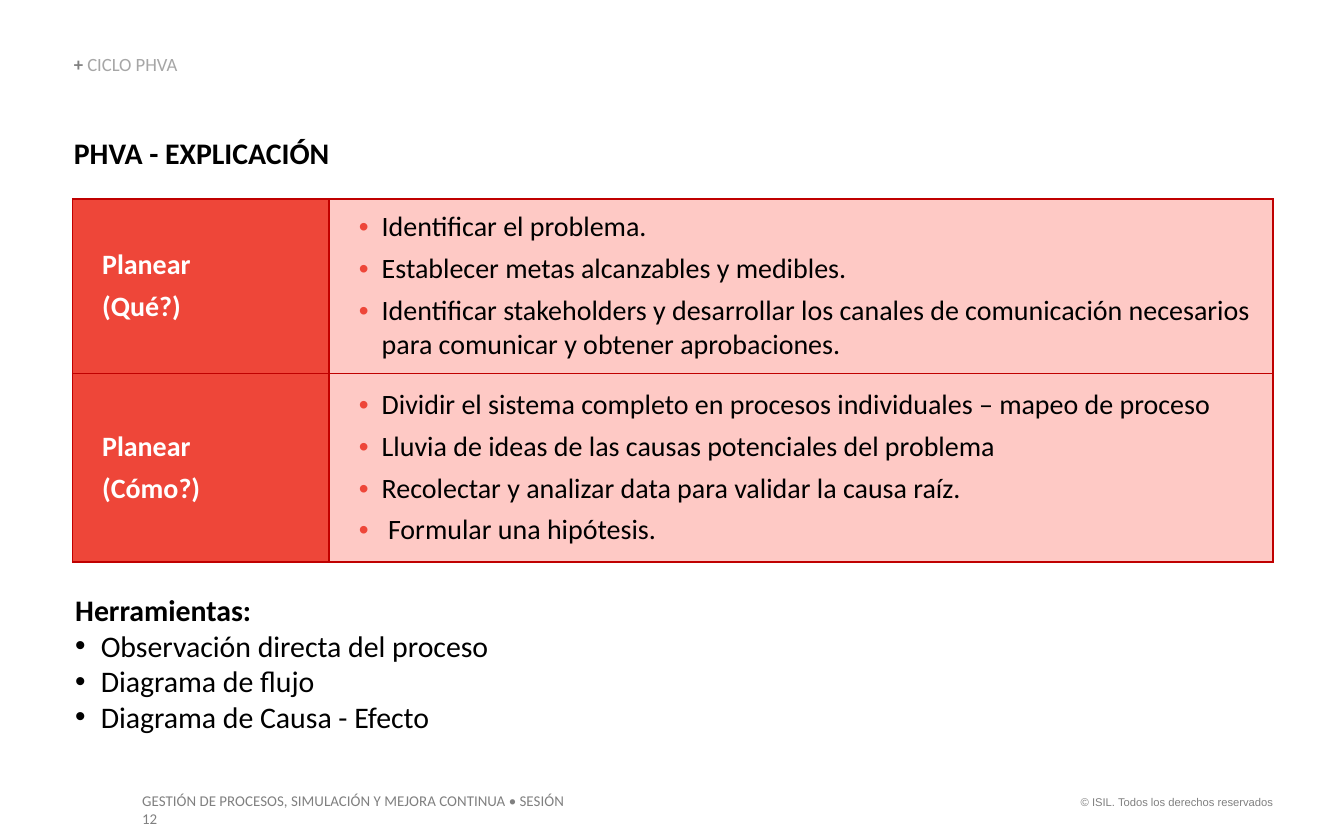
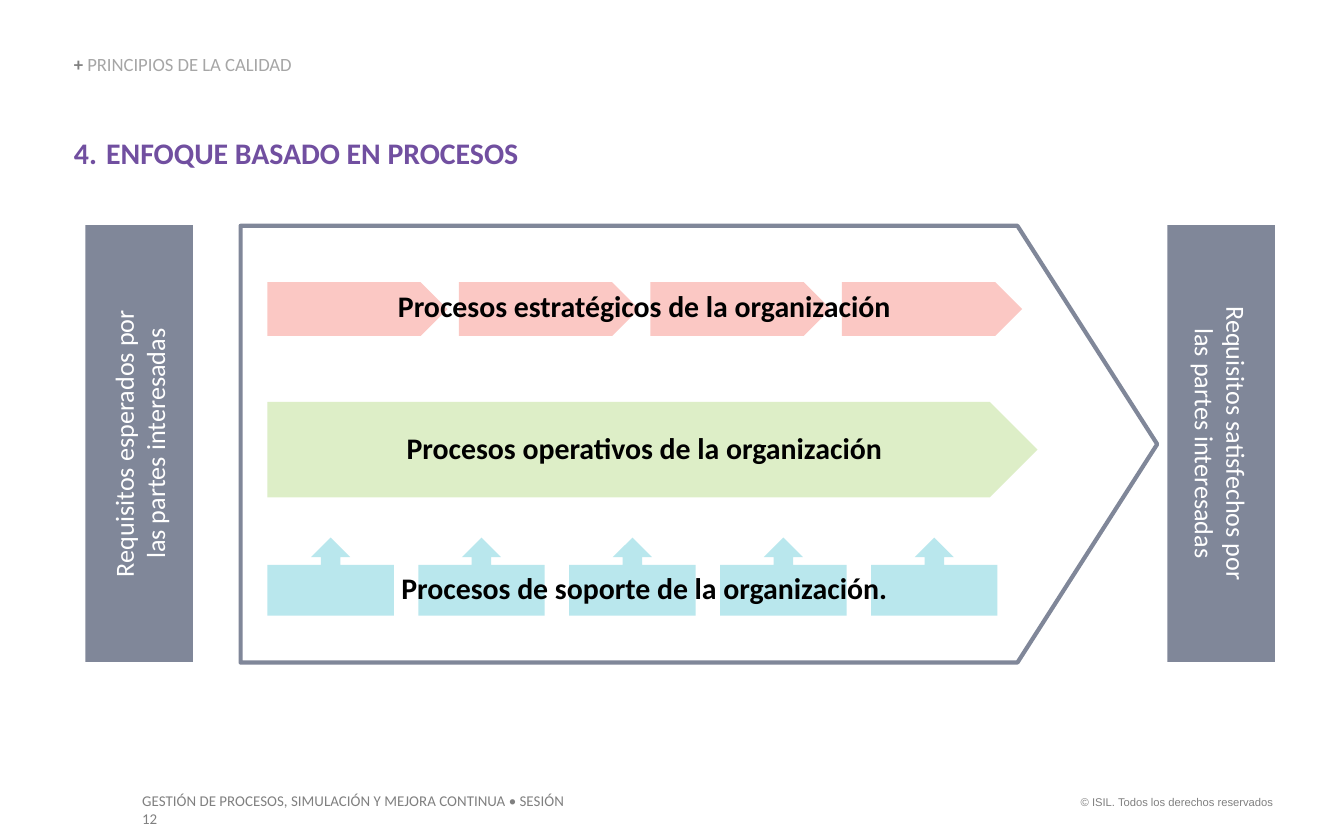
"""Builds two slides on quality management: the PHVA planning table and the process approach map."""

from dataclasses import dataclass

from pptx import Presentation
from pptx.dml.color import RGBColor
from pptx.enum.shapes import MSO_SHAPE
from pptx.enum.text import MSO_ANCHOR, PP_ALIGN
from pptx.oxml import parse_xml
from pptx.oxml.ns import nsdecls
from pptx.util import Inches, Pt

LEFT, CENTER, RIGHT = PP_ALIGN.LEFT, PP_ALIGN.CENTER, PP_ALIGN.RIGHT
TOP, MIDDLE, BOTTOM = MSO_ANCHOR.TOP, MSO_ANCHOR.MIDDLE, MSO_ANCHOR.BOTTOM
PENTAGON, CALLOUT = MSO_SHAPE.PENTAGON, MSO_SHAPE.UP_ARROW_CALLOUT
RECTANGLE = MSO_SHAPE.RECTANGLE


@dataclass(frozen=True)
class Theme:
    font: str = "Calibri"
    copyright_font: str = "Arial"
    black: str = "000000"
    white: str = "FFFFFF"
    gray: str = "808080"
    light_gray: str = "A6A6A6"
    purple: str = "714FA0"
    red: str = "EE4639"
    pink: str = "FEC9C5"
    border: str = "C00000"
    slate: str = "808799"
    strategic: str = "FBC8C4"
    operative: str = "DDEEC7"
    support: str = "B9E7ED"
    heading_size: float = 16
    table_size: float = 15
    side_size: float = 14
    topic_size: float = 10
    footer_size: float = 8
    copyright_size: float = 6


theme = Theme()

presentation = Presentation()
presentation.slide_width = Inches(10)
presentation.slide_height = Inches(6.25)
COLUMN = presentation.slide_width / 100
ROW = presentation.slide_height / 125


def grid(left, top, width, height):
    """Turn grid columns and rows into slide lengths."""
    return [int(left * COLUMN), int(top * ROW), int(width * COLUMN), int(height * ROW)]


def write(frame, paragraphs, style, align=LEFT, anchor=TOP, inset=True,
          margin=0, hanging=0, bullet=(), space=0, line_spacing=None):
    """Fill a frame; a paragraph is a list of runs, each a text and its own style or None."""
    frame.word_wrap = True
    frame.vertical_anchor = anchor
    if not inset:
        frame.margin_left = frame.margin_right = frame.margin_top = frame.margin_bottom = 0
    for index, runs in enumerate(paragraphs):
        paragraph = frame.add_paragraph() if frame.paragraphs[0].runs else frame.paragraphs[0]
        properties = paragraph._p.get_or_add_pPr()
        if margin:
            properties.set("marL", str(int(margin * COLUMN)))
            properties.set("indent", str(int(-hanging * COLUMN)))
        for element in bullet:
            properties.append(parse_xml(element))
        paragraph.alignment = align
        if index and space:
            paragraph.space_before = Pt(space)
        if line_spacing:
            paragraph.line_spacing = line_spacing
        for text, own_style in runs:
            if text == "\n":
                paragraph.add_line_break()
                continue
            run = paragraph.add_run()
            run.text = text
            font_name, size, color, bold = own_style or style
            run.font.name = font_name
            run.font.size = Pt(size)
            run.font.bold = bold
            run.font.color.rgb = RGBColor.from_string(color)


NAMESPACE = nsdecls("a")
DOT = [f'<a:buFont {NAMESPACE} typeface="Arial"/>', f'<a:buChar {NAMESPACE} char="•"/>']
RED_DOT = [f'<a:buClr {NAMESPACE}><a:srgbClr val="{theme.red}"/></a:buClr>', *DOT]
NUMBER_FOUR = [f'<a:buFont {NAMESPACE} typeface="+mj-lt"/>',
               f'<a:buAutoNum {NAMESPACE} type="arabicPeriod" startAt="4"/>']

copyright_style = (theme.copyright_font, theme.copyright_size, theme.gray, False)
footer_style = (theme.font, theme.footer_size, theme.gray, False)
plus_style = (theme.font, theme.topic_size, theme.gray, True)
topic_style = (theme.font, theme.topic_size, theme.light_gray, False)
strong_style = (theme.font, theme.heading_size, theme.black, True)
body_style = (theme.font, theme.heading_size, theme.black, False)
purple_style = (theme.font, theme.heading_size, theme.purple, True)
step_style = (theme.font, theme.table_size, theme.white, True)
task_style = (theme.font, theme.table_size, theme.black, False)
side_style = (theme.font, theme.side_size, theme.white, False)

pages = [
    ("CICLO PHVA", "PHVA - EXPLICACIÓN", 78.8, strong_style, {}),
    ("PRINCIPIOS DE LA CALIDAD", "ENFOQUE BASADO EN PROCESOS", 90.1, purple_style,
     {"margin": 2.4, "hanging": 2.4, "bullet": NUMBER_FOUR}),
]
slides = []
for topic, heading, heading_width, heading_style, heading_list in pages:
    slide = presentation.slides.add_slide(presentation.slide_layouts[6])
    slides.append(slide)
    box = slide.shapes.add_textbox(*grid(78.8, 117.4, 16.9, 4))
    write(box.text_frame, [[("© ISIL. Todos los derechos reservados", None)]],
          copyright_style, align=RIGHT)
    box = slide.shapes.add_textbox(*grid(9.6, 116.8, 34, 4.8))
    write(box.text_frame,
          [[("GESTIÓN DE PROCESOS, SIMULACIÓN Y MEJORA CONTINUA • SESIÓN 12", None)]],
          footer_style)
    box = slide.shapes.add_textbox(*grid(5.5, 8.2, 26.6, 3))
    write(box.text_frame, [[("+ ", plus_style), (topic, None)]], topic_style,
          anchor=BOTTOM, inset=False, line_spacing=0.9)
    box = slide.shapes.add_textbox(*grid(5.5, 20, heading_width, 5.4))
    write(box.text_frame, [[(heading, None)]], heading_style, inset=False, **heading_list)

cycle_slide, process_slide = slides

steps = [
    (26, ["Planear", "(Qué?)"], [
        "Identificar el problema.",
        "Establecer metas alcanzables y medibles.",
        "Identificar stakeholders y desarrollar los canales de comunicación necesarios "
        "para comunicar y obtener aprobaciones.",
    ]),
    (28, ["Planear", "(Cómo?)"], [
        "Dividir el sistema completo en procesos individuales – mapeo de proceso",
        "Lluvia de ideas de las causas potenciales del problema",
        "Recolectar y analizar data para validar la causa raíz.",
        " Formular una hipótesis.",
    ]),
]
table = cycle_slide.shapes.add_table(len(steps), 2, *grid(5.4, 29.6, 89.3, 54)).table
table.first_row = False
table.horz_banding = False
for column, width in zip(table.columns, (19.1, 70.2)):
    column.width = int(width * COLUMN)
for row, (height, step, tasks) in zip(table.rows, steps):
    row.height = int(height * ROW)
    cell_designs = [
        (step, step_style, theme.red, {"margin": 1.2}),
        (tasks, task_style, theme.pink, {"margin": 2.9, "hanging": 1.7, "bullet": RED_DOT}),
    ]
    for cell, (lines, style, fill, indents) in zip(row.cells, cell_designs):
        write(cell.text_frame, [[(line, None)] for line in lines], style, space=4, **indents)
        cell.vertical_anchor = MIDDLE
        for side in "LRTB":
            cell._tc.get_or_add_tcPr().append(parse_xml(
                f'<a:ln{side} {NAMESPACE} w="{Pt(1)}"><a:solidFill>'
                f'<a:srgbClr val="{theme.border}"/></a:solidFill></a:ln{side}>'))
        cell.fill.solid()
        cell.fill.fore_color.rgb = RGBColor.from_string(fill)

tools = ["Observación directa del proceso", "Diagrama de flujo", "Diagrama de Causa - Efecto"]
box = cycle_slide.shapes.add_textbox(*grid(5.6, 88, 89.9, 21.6))
write(box.text_frame, [[("Herramientas:", None)]], strong_style, inset=False)
write(box.text_frame, [[(tool, None)] for tool in tools], body_style, inset=False,
      margin=1.9, hanging=1.9, bullet=DOT)

diagram = process_slide.shapes.add_group_shape().shapes
frame_arrow = diagram.add_shape(PENTAGON, *grid(17.9, 33.6, 68.2, 65))
frame_arrow.adjustments[0] = 0.32
frame_arrow.shadow.inherit = False
frame_arrow.fill.background()
frame_arrow.line.color.rgb = RGBColor.from_string(theme.slate)
frame_arrow.line.width = Pt(2.25)

bands = [
    (CALLOUT, 5, 11.23, (80, 9.4, 11.6), theme.support,
     "Procesos de soporte de la organización.", 83.8, 6.8),
    (PENTAGON, 1, 0, (59.8, 57.3, 14.2), theme.operative,
     "Procesos operativos de la organización", 63, 6.8),
    (PENTAGON, 4, 14.25, (42, 13.4, 8), theme.strategic,
     "Procesos estratégicos de la organización", 41.8, 7.4),
]
for kind, count, pitch, (top, width, height), fill, label, label_top, label_height in bands:
    for index in range(count):
        shape = diagram.add_shape(kind, *grid(19.9 + index * pitch, top, width, height))
        shape.shadow.inherit = False
        shape.fill.solid()
        shape.fill.fore_color.rgb = RGBColor.from_string(fill)
        shape.line.fill.background()
    box = diagram.add_textbox(*grid(24.9, label_top, 46.1, label_height))
    write(box.text_frame, [[(label, None)]], strong_style, align=CENTER)

requirements = [(74.6, 90, "Requisitos satisfechos por"), (-5.9, 270, "Requisitos esperados por")]
for left, rotation, first_line in requirements:
    shape = process_slide.shapes.add_shape(RECTANGLE, *grid(left, 58, 32.5, 16))
    shape.rotation = rotation
    shape.shadow.inherit = False
    shape.fill.solid()
    shape.fill.fore_color.rgb = RGBColor.from_string(theme.slate)
    shape.line.fill.background()
    write(shape.text_frame,
          [[(first_line, None), ("\n", None), ("las partes interesadas", None)]],
          side_style, align=CENTER, anchor=MIDDLE)

presentation.save("out.pptx")
